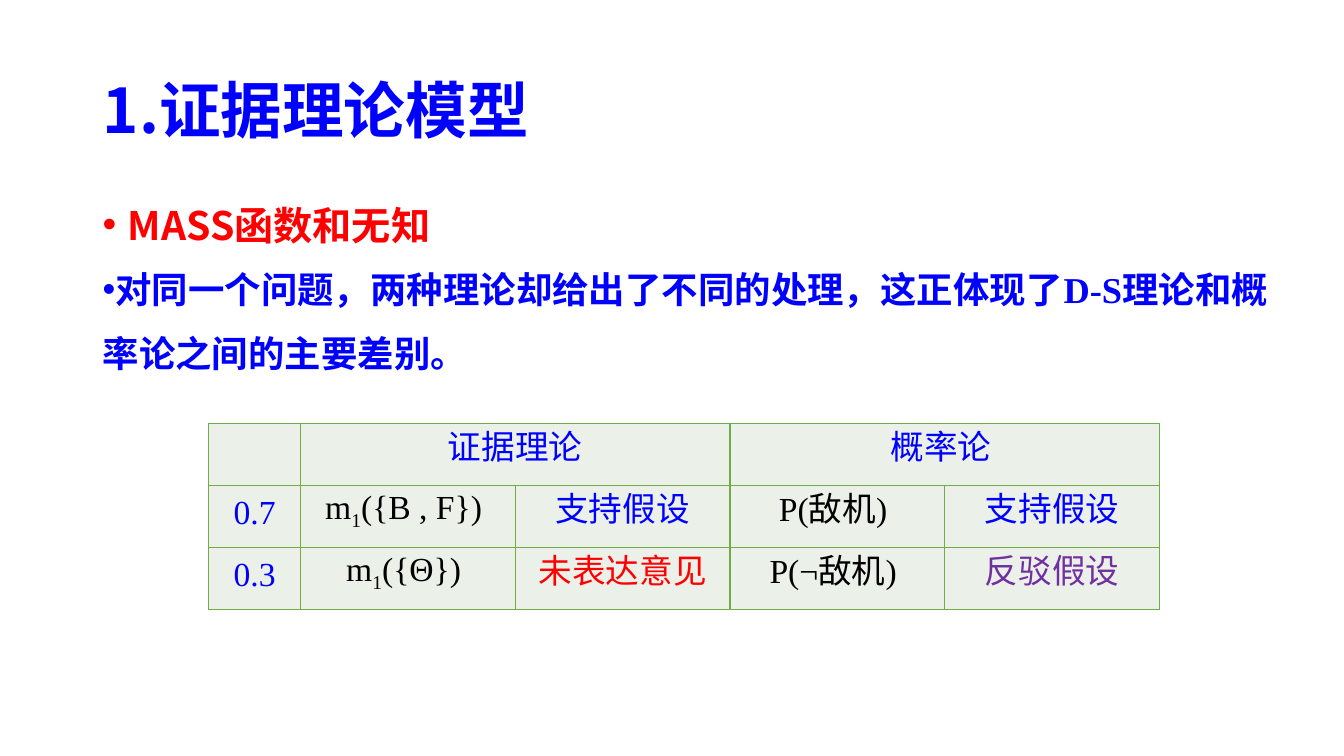
"""Build a slide that sets evidence theory beside probability theory."""
import pptx
import pptx.dml.color
import pptx.enum.text
import pptx.oxml
import pptx.oxml.ns
import pptx.util
from lxml import etree

Inches, Pt = pptx.util.Inches, pptx.util.Pt
ALIGN, ANCHOR = pptx.enum.text.PP_ALIGN, pptx.enum.text.MSO_ANCHOR
qn = pptx.oxml.ns.qn
SANS, SERIF = "Noto Sans CJK SC", "Times New Roman"
BLUE, RED, BLACK, PURPLE = "0000FF", "FF0000", "000000", "7030A0"
GREEN, PALE = "70AD47", "EBF1E9"


def color(code):
    return pptx.dml.color.RGBColor.from_string(code)


def write(para, text, size, face, code, bold=False, base=0):
    run = para.add_run()
    run.text = text
    font = run.font
    font.size, font.name, font.bold = Pt(size), face, bold
    font.color.rgb = color(code)
    props = run._r.get_or_add_rPr()
    etree.SubElement(props, qn("a:ea")).set("typeface", SANS)
    if base:
        props.set("baseline", str(base * 1000))


deck = pptx.Presentation()
deck.slide_width, deck.slide_height = Inches(13.33), Inches(7.5)
slide = deck.slides.add_slide(deck.slide_layouts[6])

frames = []
for left, top, width, height, anchor in [
    (0.92, 0.4, 11.5, 1.45, ANCHOR.MIDDLE),
    (0.92, 1.71, 12.08, 2.3, ANCHOR.TOP),
]:
    box = slide.shapes.add_textbox(*map(Inches, (left, top, width, height)))
    box.text_frame.word_wrap = True
    box.text_frame.vertical_anchor = anchor
    frames.append(box.text_frame)
title, body = frames

head = title.paragraphs[0]
head.line_spacing = 0.9
write(head, "1.证据理论模型", 44, SANS, BLUE, True)

points = [
    ("MASS函数和无知", 28, SANS, RED, 1.5, 6, 0.25, ALIGN.JUSTIFY),
    ("对同一个问题，两种理论却给出了不同的处理，这正体现了D-S理论和概率论之间的主要差别。",
     26, SERIF, BLUE, 1.45, 0, 0, ALIGN.LEFT),
]
for num, (text, size, face, code, line, gap, indent, align) in enumerate(points):
    para = body.add_paragraph() if num else body.paragraphs[0]
    para.alignment, para.line_spacing, para.space_before = align, line, Pt(gap)
    props = para._p.get_or_add_pPr()
    props.set("marL", str(Inches(indent)))
    props.set("indent", str(-Inches(indent)))
    etree.SubElement(props, qn("a:buFont")).set("typeface", "Arial")
    etree.SubElement(props, qn("a:buChar")).set("char", "•")
    write(para, text, size, face, code, True)

rows = [
    [[], [("证据理论", BLUE)], [], [("概率论 ", BLUE)], []],
    [[("0.7", BLUE)], [("m", BLACK), ("1", BLACK, -25), ("({B , F}) ", BLACK)],
     [("支持假设", BLUE)], [("P(敌机) ", BLACK)], [("支持假设", BLUE)]],
    [[("0.3", BLUE)], [("m", BLACK), ("1", BLACK, -25), ("({Θ}) ", BLACK)],
     [("未表达意见", RED)], [("P(¬敌机) ", BLACK)], [("反驳假设", PURPLE)]],
]
widths = [0.91] + [2.13] * 4
high = 0.615
table = slide.shapes.add_table(
    len(rows), len(widths), Inches(2.07), Inches(4.2),
    Inches(sum(widths)), Inches(high * len(rows))).table
table.first_row = table.horz_banding = False
for col, width in zip(table.columns, widths):
    col.width = Inches(width)
for start in (1, 3):
    table.cell(0, start).merge(table.cell(0, start + 1))

for r, row in enumerate(rows):
    table.rows[r].height = Inches(high)
    for c, runs in enumerate(row):
        cell = table.cell(r, c)
        cell.margin_left = cell.margin_right = Inches(0.07)
        cell.margin_top = cell.margin_bottom = 0
        cell.vertical_anchor = ANCHOR.MIDDLE
        cell.fill.solid()
        cell.fill.fore_color.rgb = color(PALE)
        for spot, side in enumerate(("lnL", "lnR", "lnT", "lnB")):
            edge = etree.Element(qn("a:" + side), w=str(Pt(1)))
            fill = etree.SubElement(edge, qn("a:solidFill"))
            etree.SubElement(fill, qn("a:srgbClr")).set("val", GREEN)
            cell._tc.get_or_add_tcPr().insert(spot, edge)
        para = cell.text_frame.paragraphs[0]
        para.alignment, para.line_spacing = ALIGN.CENTER, Pt(22)
        for text, code, *base in runs:
            write(para, text, 24, SERIF, code, False, *base)

deck.save("out.pptx")
